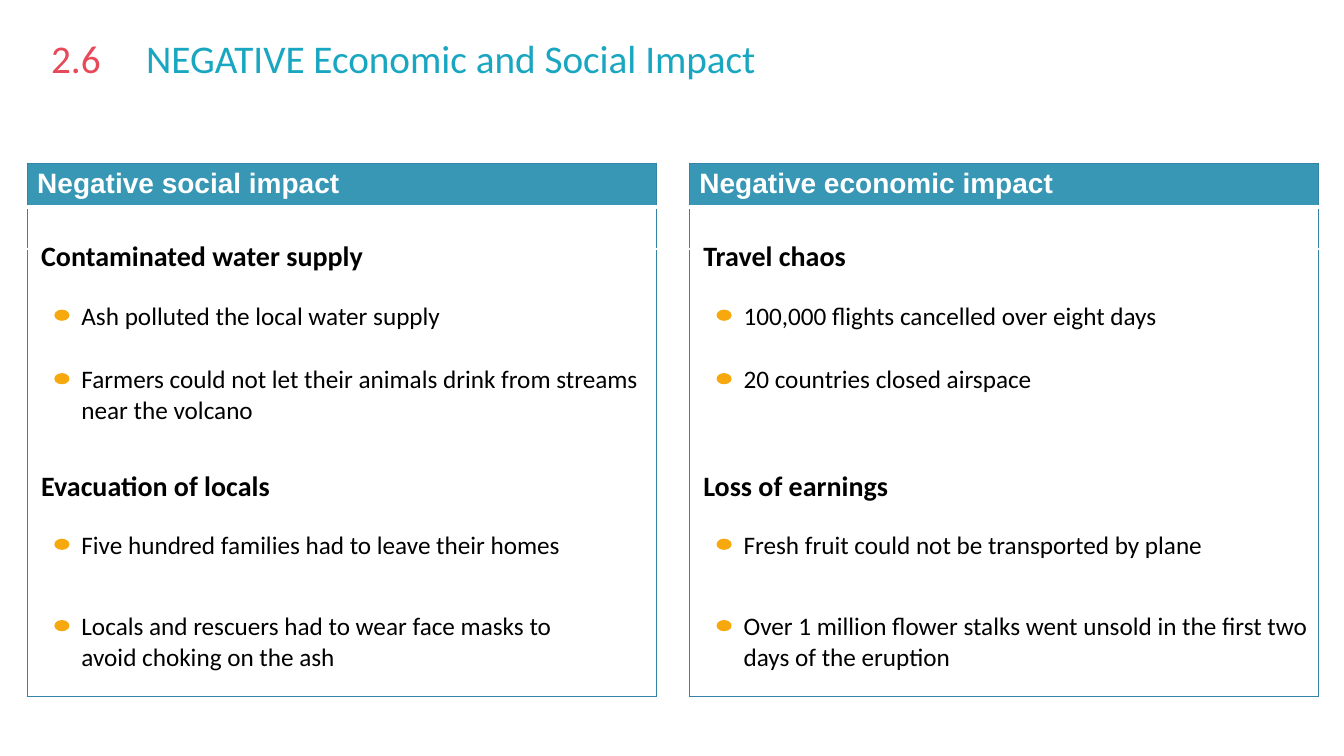
from pptx import Presentation
from pptx.dml.color import RGBColor
from pptx.enum import shapes, text
from pptx.oxml import parse_xml
from pptx.oxml.ns import nsdecls
from pptx.util import Pt

NUMBER, TITLE = "2.6", "NEGATIVE Economic and Social Impact"

# Each panel: header, then topics of (heading, [(bullet, box width)])
PANELS = [
    ("Negative social impact", [
        ("Contaminated water supply", [
            ("Ash polluted the local water supply", 441),
            ("Farmers could not let their animals drink from streams near the volcano", 441)]),
        ("Evacuation of locals", [
            ("Five hundred families had to leave their homes", 388),
            ("Locals and rescuers had to wear face masks to avoid choking on the ash", 388)]),
    ]),
    ("Negative economic impact", [
        ("Travel chaos", [
            ("100,000 flights cancelled over eight days", 427),
            ("20 countries closed airspace", 427)]),
        ("Loss of earnings", [
            ("Fresh fruit could not be transported by plane", 405),
            ("Over 1 million flower stalks went unsold in the first two days of the eruption", 427)]),
    ]),
]
COLORS = {"title": "19A6C1", "number": "E74958", "header": "3797B4",
          "border": "3484A7", "dot": "F6A80C", "white": "FFFFFF", "black": "000000"}

# Layout in points
PANEL_LEFT, PANEL_STEP, PANEL_TOP, PANEL_WIDTH = 19.4, 473, 116.6, 449.3
ROW_HEIGHTS = [30, 30, 319.5]
TOPIC_TOPS = [(167, (211, 256.3)), (331.2, (374.6, 432.7))]

deck = Presentation()
deck.slide_width, deck.slide_height = Pt(960), Pt(540)
page = deck.slides.add_slide(deck.slide_layouts[5])


def color(name):
    return RGBColor.from_string(COLORS[name])


def write(frame, words, size, tint, bold=False, font="Calibri"):
    para = frame.paragraphs[0]
    para.alignment = text.PP_ALIGN.LEFT
    span = para.add_run()
    span.text = words
    span.font.name, span.font.size, span.font.bold = font, Pt(size), bold
    span.font.color.rgb = color(tint)


def add_text(left, top, width, height, words, size, tint="black", bold=False):
    box = page.shapes.add_textbox(Pt(left), Pt(top), Pt(width), Pt(height))
    box.text_frame.word_wrap = True
    write(box.text_frame, words, size, tint, bold)


def style_cell(cell, fill, borders):
    cell.fill.solid()
    cell.fill.fore_color.rgb = color(fill)
    properties = cell._tc.get_or_add_tcPr()
    for place, (side, (tint, width)) in enumerate(borders.items()):
        properties.insert(place, parse_xml(
            f'<a:ln{side} {nsdecls("a")} w="{Pt(width)}"><a:solidFill>'
            f'<a:srgbClr val="{COLORS[tint]}"/></a:solidFill></a:ln{side}>'))


def add_panel(left, header):
    frame = page.shapes.add_table(3, 1, Pt(left), Pt(PANEL_TOP),
                                  Pt(PANEL_WIDTH), Pt(sum(ROW_HEIGHTS)))
    table = frame.table
    edge, thin, gap = ("border", 1), ("white", 1), ("white", 3)
    rules = [("header", edge, gap), ("white", gap, thin), ("white", thin, edge)]
    for index, (fill, above, below) in enumerate(rules):
        table.rows[index].height = Pt(ROW_HEIGHTS[index])
        style_cell(table.cell(index, 0), fill,
                   {"L": edge, "R": edge, "T": above, "B": below})
    write(table.cell(0, 0).text_frame, header, 20, "white", True, "Arial")


def add_bullet(left, top, width, words):
    add_text(left + 31.7, top, width, 51, words, 18)
    dot = page.shapes.add_shape(shapes.MSO_SHAPE.OVAL, Pt(left + 19.4),
                                Pt(top + 10.2), Pt(10.8), Pt(8))
    dot.shadow.inherit = False
    dot.fill.solid()
    dot.fill.fore_color.rgb = color("dot")
    dot.line.fill.background()


# Title and section number
title = page.shapes.title
title.left, title.top, title.width, title.height = Pt(97.2), Pt(20.9), Pt(800.6), Pt(41)
title.text_frame.auto_size = text.MSO_AUTO_SIZE.NONE
title.text_frame.vertical_anchor = text.MSO_ANCHOR.TOP
write(title.text_frame, TITLE, 28, "title")
add_text(29.5, 20.9, 83.5, 41, NUMBER, 28, "number")

# Panels with their topics and bullets
for column, (header, topics) in enumerate(PANELS):
    left = PANEL_LEFT + column * PANEL_STEP
    add_panel(left, header)
    for (heading, bullets), (heading_top, bullet_tops) in zip(topics, TOPIC_TOPS):
        add_text(left + 2.9, heading_top, 440, 31.7, heading, 20, bold=True)
        for (words, width), top in zip(bullets, bullet_tops):
            add_bullet(left, top, width, words)

deck.save("out.pptx")
